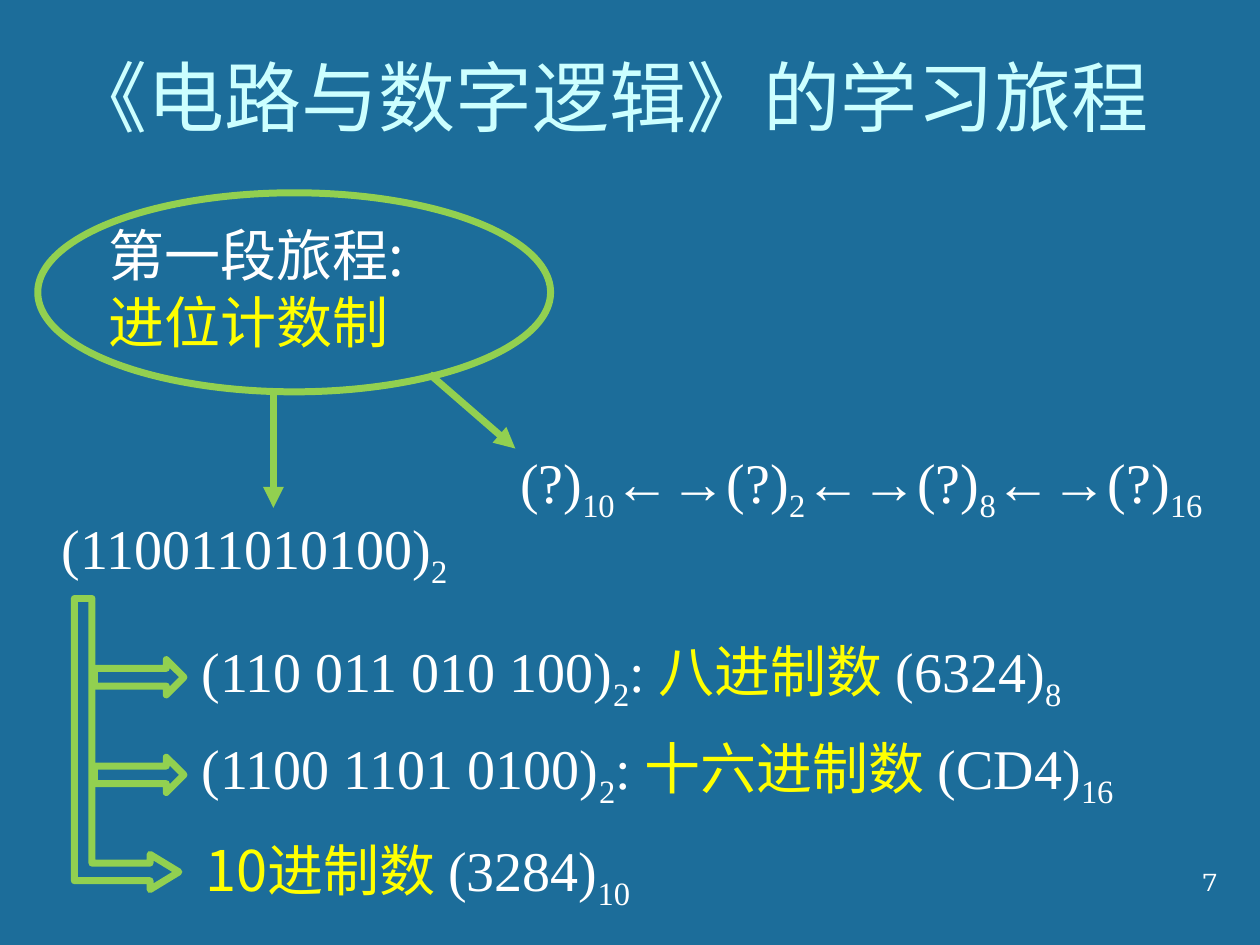
from lxml import etree
from pptx import Presentation
from pptx.dml.color import RGBColor
from pptx.enum.shapes import MSO_CONNECTOR, MSO_SHAPE
from pptx.enum.text import MSO_ANCHOR, PP_ALIGN
from pptx.oxml.ns import qn
from pptx.util import Inches, Pt

BLUE = RGBColor(0x1C, 0x6D, 0x9A)
GREEN = RGBColor(0x92, 0xD0, 0x50)
WHITE = RGBColor(0xFF, 0xFF, 0xFF)
YELLOW = RGBColor(0xFF, 0xFF, 0x00)
PALE = RGBColor(0xCC, 0xFF, 0xFF)
SERIF, HAN, SANS = "Times New Roman", "Noto Sans CJK SC", "Montserrat"
LEFT, RIGHT = PP_ALIGN.LEFT, PP_ALIGN.RIGHT
TOP, BOTTOM = MSO_ANCHOR.TOP, MSO_ANCHOR.BOTTOM
OVAL, ARROW, BENT = MSO_SHAPE.OVAL, MSO_SHAPE.RIGHT_ARROW, MSO_SHAPE.BENT_UP_ARROW
STRAIGHT = MSO_CONNECTOR.STRAIGHT
COLS, ROWS = 100, 75


class Deck:
    def __init__(self):
        self.prs = Presentation()
        self.prs.slide_width, self.prs.slide_height = Inches(10), Inches(7.5)
        self.col = self.prs.slide_width / COLS
        self.row = self.prs.slide_height / ROWS
        self.slide = self.prs.slides.add_slide(self.prs.slide_layouts[5])
        fill = self.slide.background.fill
        fill.solid()
        fill.fore_color.rgb = BLUE

    def place(self, *grid):
        return [round(n * (self.row if i % 2 else self.col)) for i, n in enumerate(grid)]

    def letter(self, frame, lines, size, align=LEFT, anchor=TOP):
        frame.word_wrap = True
        frame.vertical_anchor = anchor
        for i, line in enumerate(lines):
            para = frame.add_paragraph() if i else frame.paragraphs[0]
            para.alignment = align
            for words, face, color, *base in line:
                run = para.add_run()
                run.text = words
                font = run.font
                font.size, font.name, font.color.rgb = Pt(size), face, color
                props = run._r.get_or_add_rPr()
                etree.SubElement(props, qn("a:ea")).set("typeface", face)
                if base:
                    props.set("baseline", f"{base[0]}000")

    def title(self, grid, line, size):
        head = self.slide.shapes.title
        head.left, head.top, head.width, head.height = self.place(*grid)
        self.letter(head.text_frame, [line], size, anchor=BOTTOM)

    def text(self, grid, lines, size=32, align=LEFT):
        box = self.slide.shapes.add_textbox(*self.place(*grid))
        self.letter(box.text_frame, lines, size, align)

    def stroke(self, item):
        item.line.color.rgb = GREEN
        item.line.width = Pt(4)

    def shape(self, kind, grid, turn=0, adjust=()):
        item = self.slide.shapes.add_shape(kind, *self.place(*grid))
        item.shadow.inherit = False
        item.fill.background()
        item.rotation = turn
        for i, n in enumerate(adjust):
            item.adjustments[i] = n
        self.stroke(item)

    def arrow(self, grid):
        item = self.slide.shapes.add_connector(STRAIGHT, *self.place(*grid))
        self.stroke(item)
        props = item._element.spPr
        etree.SubElement(props.find(qn("a:ln")), qn("a:tailEnd")).set("type", "triangle")
        etree.SubElement(props, qn("a:effectLst"))


def based(digits, base):
    return [(f"({digits})", SERIF, WHITE), (base, SERIF, WHITE, -25)]


def main():
    deck = Deck()
    deck.title((4.6, -4, 89.5, 15.8), [("《电路与数字逻辑》的学习旅程", HAN, PALE)], 44)

    deck.text((7.6, 17, 37, 11.8), [[("第一段旅程:", HAN, WHITE)],
                                    [("进位计数制", HAN, YELLOW)]])
    deck.shape(OVAL, (3, 15.3, 40.7, 15.8))
    deck.arrow((21.7, 31, 21.7, 40.3))
    deck.arrow((34.1, 29.7, 40.9, 35.6))

    chain = []
    for base in ("10", "2", "8", "16"):
        if chain:
            chain.append(("←→", SERIF, WHITE))
        chain += based("?", base)
    deck.text((40.3, 35, 63.6, 6.4), [chain])
    deck.text((3.9, 40.3, 63.6, 6.4), [based("110011010100", "2")])

    groups = [("110 011 010 100", "八进制数 ", "6324", "8"),
              ("1100 1101 0100", "十六进制数 ", "CD4", "16")]
    for i, (bits, name, value, base) in enumerate(groups):
        top = 50 + 7.75 * i
        line = based(bits, "2") + [(": ", SERIF, WHITE), (name, HAN, YELLOW)]
        deck.text((15, top, 94.1, 6.4), [line + based(value, base)])
        deck.shape(ARROW, (7.5, top + 2.35, 7.1, 2.8))

    deck.shape(BENT, (-1.5, 54.9, 23.1, 8.3), 90, (0.168, 0.168, 0.277))
    deck.text((15.3, 65.8, 94.1, 6.4),
              [[("10进制数 ", HAN, YELLOW)] + based("3284", "10")])
    deck.text((76.8, 68.3, 20.8, 5), [[("7", SANS, WHITE)]], 14, RIGHT)
    deck.prs.save("out.pptx")


if __name__ == "__main__":
    main()
